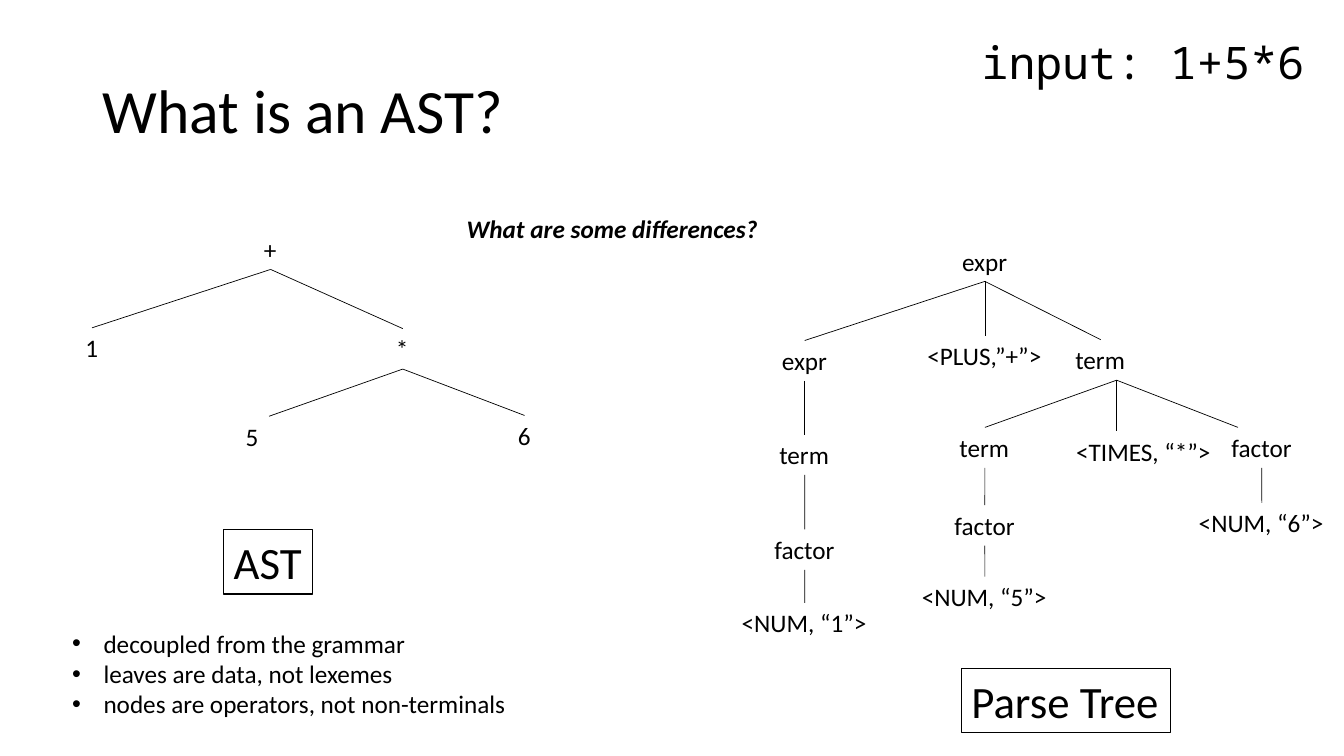
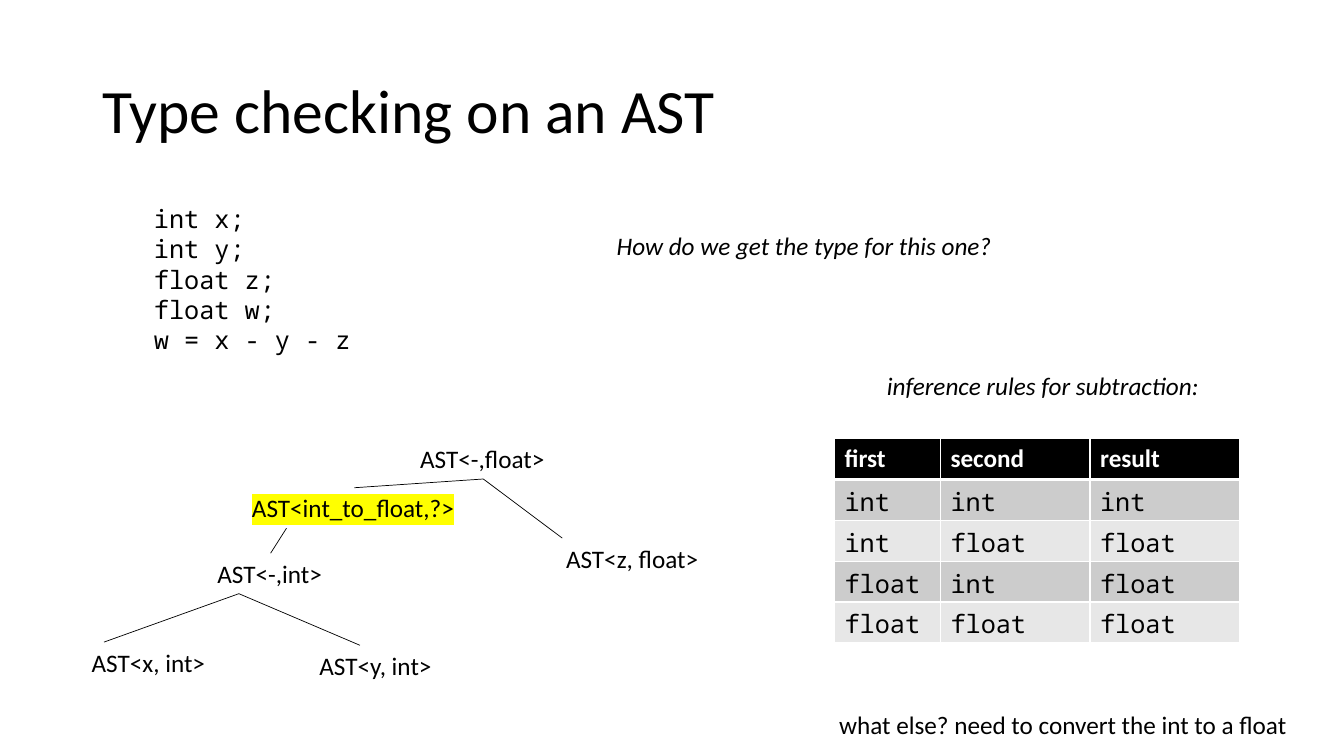
from dataclasses import dataclass

from lxml import etree
from pptx import Presentation
from pptx.dml.color import RGBColor
from pptx.enum.shapes import MSO_CONNECTOR
from pptx.enum.text import MSO_ANCHOR, MSO_AUTO_SIZE, PP_ALIGN
from pptx.oxml.ns import qn
from pptx.util import Cm, Pt

STRAIGHT = MSO_CONNECTOR.STRAIGHT
MIDDLE = MSO_ANCHOR.MIDDLE
LEFT = PP_ALIGN.LEFT
GROW, FIXED = MSO_AUTO_SIZE.SHAPE_TO_FIT_TEXT, MSO_AUTO_SIZE.NONE

SANS, MONO = "Calibri", "Noto Sans Mono"
BLACK, WHITE, YELLOW = "000000", "FFFFFF", "FFFF00"
BANDS = ("CCCCCC", "E7E7E7")
TITLE_ONLY = 5
TOP, BOTTOM = 0, 2
NODE_HEIGHT = 1.02
BULLET_INDENT = 0.79


@dataclass
class Node:
    """A tree node; x is its centre, head and foot shift its line ends sideways."""
    text: str
    x: float
    y: float
    width: float
    children: tuple = ()
    head: float = 0
    foot: float = 0
    highlight: str = ""


def colour(hex_string):
    return RGBColor.from_string(hex_string)


def add_colour(parent, tag, hex_string):
    element = etree.SubElement(parent, qn(tag))
    etree.SubElement(element, qn("a:srgbClr")).set("val", hex_string)
    return element


def add_bullet(para):
    properties = para._p.get_or_add_pPr()
    properties.set("marL", str(Cm(BULLET_INDENT)))
    properties.set("indent", str(-Cm(BULLET_INDENT)))
    etree.SubElement(properties, qn("a:buFont")).set("typeface", "Arial")
    etree.SubElement(properties, qn("a:buChar")).set("char", "•")


def write(frame, text, size=18, font=SANS, ink=BLACK, bold=False, italic=False,
          highlight="", bullets=False, spacing=None):
    """Fill a text frame with one paragraph for each line of text."""
    for index, line in enumerate(text.split("\n")):
        para = frame.add_paragraph() if index else frame.paragraphs[0]
        if bullets:
            add_bullet(para)
        para.alignment = LEFT
        if spacing:
            para.line_spacing = spacing
        span = para.add_run()
        span.text = line
        span.font.size = Pt(size)
        span.font.bold, span.font.italic = bold, italic
        span.font.color.rgb = colour(ink)
        if highlight:
            properties = span._r.get_or_add_rPr()
            mark = add_colour(properties, "a:highlight", highlight)
            properties.find(qn("a:solidFill")).addnext(mark)
        span.font.name = font


def add_label(page, left, top, width, height, text, outline=False, **style):
    box = page.shapes.add_textbox(Cm(left), Cm(top), Cm(width), Cm(height))
    box.text_frame.word_wrap = False
    box.text_frame.auto_size = GROW
    if outline:
        box.line.color.rgb = colour(BLACK)
        box.line.width = Pt(0.75)
    write(box.text_frame, text, **style)
    return box


def add_page(deck, title):
    page = deck.slides.add_slide(deck.slide_layouts[TITLE_ONLY])
    box = page.shapes.title
    box.left, box.top, box.width, box.height = Cm(2.33), Cm(1.01), Cm(29.21), Cm(3.68)
    frame = box.text_frame
    frame.vertical_anchor = MIDDLE
    frame.word_wrap = True
    frame.auto_size = FIXED
    write(frame, title, size=44, spacing=0.9)
    return page


def add_branch(page, parent, parent_box, child, child_box):
    """Join two nodes, at the middle of a side wherever the line is not shifted."""
    line = page.shapes.add_connector(
        STRAIGHT,
        parent_box.left + parent_box.width // 2 + Cm(parent.foot),
        parent_box.top + parent_box.height,
        child_box.left + child_box.width // 2 + Cm(child.head),
        child_box.top)
    if not parent.foot:
        line.begin_connect(parent_box, BOTTOM)
    if not child.head:
        line.end_connect(child_box, TOP)
    line.line.color.rgb = colour(BLACK)
    line.line.width = Pt(0.5)
    etree.SubElement(line._element.spPr, qn("a:effectLst"))


def add_tree(page, left, top, node):
    box = add_label(page, left + node.x - node.width / 2, top + node.y, node.width,
                    NODE_HEIGHT, node.text, highlight=node.highlight)
    for child in node.children:
        child_box = add_tree(page, left, top, child)
        add_branch(page, node, box, child, child_box)
    return box


def set_borders(cell, top, bottom):
    properties = cell._tc.get_or_add_tcPr()
    for side, width in (("L", 1), ("R", 1), ("T", top), ("B", bottom)):
        border = etree.SubElement(properties, qn(f"a:ln{side}"))
        border.set("w", str(Pt(width)))
        add_colour(border, "a:solidFill", WHITE)


def add_rules_table(page, left, top, rows, widths, row_height):
    graphic = page.shapes.add_table(len(rows), len(widths), Cm(left), Cm(top),
                                    Cm(sum(widths)), Cm(row_height * len(rows)))
    table = graphic.table
    for column, width in zip(table.columns, widths):
        column.width = Cm(width)
    for row_index, row in enumerate(rows):
        header = row_index == 0
        fill = BLACK if header else BANDS[(row_index - 1) % 2]
        style = dict(ink=WHITE, bold=True) if header else dict(font=MONO)
        for column_index, text in enumerate(row):
            cell = table.cell(row_index, column_index)
            set_borders(cell, top=3 if row_index == 1 else 1, bottom=3 if header else 1)
            cell.fill.solid()
            cell.fill.fore_color.rgb = colour(fill)
            write(cell.text_frame, text, **style)


def syntax_tree():
    times = Node("*", 8.25, 2.51, 0.84, (
        Node("5", 4.46, 4.72, 0.84, head=0.42),
        Node("6", 11.32, 4.7, 0.84)))
    return Node("+", 4.92, 0, 0.84, (Node("1", 0.42, 2.49, 0.84), times))


def parse_tree():
    expr, term, factor, number = 1.65, 1.78, 2.03, 3.68
    first, second, third = 1.84, 6.38, 13.36
    one = Node("expr", first, 2.51, expr, (
        Node("term", first, 4.88, term, (
            Node("factor", first, 7.27, factor, (
                Node("<NUM, “1”>", first, 9.12, number),)),)),))
    five = Node("term", second, 4.7, term, (
        Node("factor", second, 6.66, factor, (
            Node("<NUM, “5”>", second, 8.46, number),)),))
    six = Node("factor", third, 4.7, factor, (
        Node("<NUM, “6”>", third, 6.6, number),), head=-0.6)
    product = Node("term", 9.3, 2.49, term, (
        five, Node("<TIMES, “*”>", 10.4, 4.8, 3.94, head=-0.7), six), foot=0.4)
    plus = Node("<PLUS,”+”>", second, 2.39, 3.4)
    return Node("expr", second, 0, expr, (one, plus, product))


def typed_tree():
    minus = Node("AST<-,int>", 4.76, 2.89, 3.18, (
        Node("AST<x, int>", 1.7, 5.13, 3.4, head=-1.14),
        Node("AST<y, int>", 7.43, 5.21, 3.38, head=-0.42)), foot=-0.8)
    conversion = Node("AST<int_to_float,?>", 6.87, 1.24, 5.66, (minus,),
                      foot=-1.71, highlight=YELLOW)
    return Node("AST<-,float>", 10.12, 0, 3.68, (
        conversion, Node("AST<z, float>", 13.9, 2.51, 3.89, head=-1.79)))


def build_comparison(deck):
    page = add_page(deck, "What is an AST?")
    add_label(page, 24.49, 0.74, 8.74, 1.63, "input: 1+5*6", size=32, font=MONO)
    add_label(page, 11.51, 5.26, 7.95, NODE_HEIGHT, "What are some differences?",
              bold=True, italic=True)
    add_tree(page, 1.9, 5.77, syntax_tree())
    add_tree(page, 18.44, 6.07, parse_tree())
    add_label(page, 5.64, 13.34, 2.24, 1.63, "AST", size=32, outline=True)
    add_label(page, 24.23, 16.84, 5.26, 1.63, "Parse Tree", size=32, outline=True)
    add_label(page, 1.57, 15.7, 11.56, 2.57,
              "decoupled from the grammar\n"
              "leaves are data, not lexemes\n"
              "nodes are operators, not non-terminals", bullets=True)


def build_type_checking(deck):
    page = add_page(deck, "Type checking on an AST")
    add_label(page, 3.63, 5, 5.49, 4.11,
              "int x;\nint y;\nfloat z;\nfloat w;\nw = x - y - z", font=MONO)
    add_label(page, 15.29, 5.69, 10.08, NODE_HEIGHT,
              "How do we get the type for this one?", italic=True)
    add_tree(page, 2.06, 11.05, typed_tree())
    add_label(page, 22.1, 9.2, 8.69, NODE_HEIGHT,
              "inference rules for subtraction:", italic=True)
    rules = (("first", "second", "result"),
             ("int", "int", "int"),
             ("int", "float", "float"),
             ("float", "int", "float"),
             ("float", "float", "float"))
    add_rules_table(page, 21.03, 11.05, rules, (2.67, 3.77, 3.77), 1.03)
    add_label(page, 20.9, 17.75, 11.94, NODE_HEIGHT,
              "what else? need to convert the int to a float")


def main():
    deck = Presentation()
    deck.slide_width, deck.slide_height = Cm(33.87), Cm(19.05)
    build_comparison(deck)
    build_type_checking(deck)
    deck.save("out.pptx")


if __name__ == "__main__":
    main()
